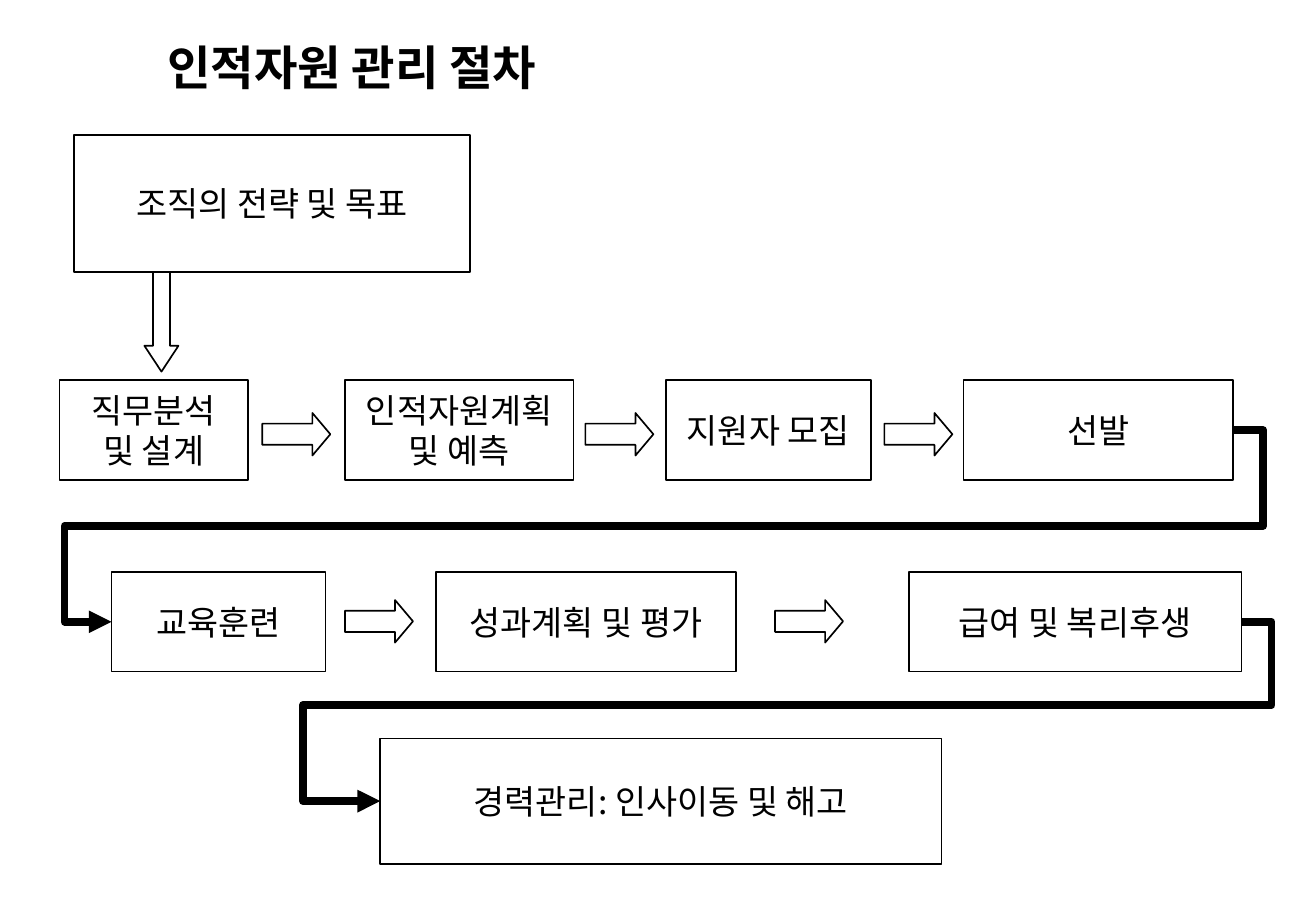
from dataclasses import dataclass

from lxml.etree import SubElement
from pptx import Presentation
from pptx.dml.color import RGBColor
from pptx.enum.shapes import MSO_CONNECTOR, MSO_SHAPE
from pptx.enum.text import MSO_ANCHOR, PP_ALIGN
from pptx.oxml.ns import qn
from pptx.util import Pt


@dataclass(frozen=True)
class Theme:
    ink: RGBColor = RGBColor(0, 0, 0)
    paper: RGBColor = RGBColor(255, 255, 255)
    font: str = "Noto Sans CJK KR"
    title_size: float = 28
    body_size: float = 20
    outline: float = 1
    link: float = 4.5


THEME = Theme()
STEP_HEIGHT = 59
ARROW_WIDTH, ARROW_HEIGHT = 40.3, 25.2


def style_text(tf, size, bold=False, align=PP_ALIGN.LEFT):
    for p in tf.paragraphs:
        p.alignment = align
        for r in p.runs:
            r.font.size = Pt(size)
            r.font.bold = bold
            r.font.color.rgb = THEME.ink
            r.font.name = THEME.font
            SubElement(r.font._element, qn("a:ea")).set("typeface", THEME.font)


def add_outlined(s, kind, x, y, w, h):
    sp = s.shapes.add_shape(kind, Pt(x), Pt(y), Pt(w), Pt(h))
    sp.shadow.inherit = False
    sp.fill.solid()
    sp.fill.fore_color.rgb = THEME.paper
    sp.line.color.rgb = THEME.ink
    sp.line.width = Pt(THEME.outline)
    return sp


def add_title(s, x, y, w, h, text):
    tf = s.shapes.add_textbox(Pt(x), Pt(y), Pt(w), Pt(h)).text_frame
    tf.word_wrap = True
    tf.text = text
    style_text(tf, THEME.title_size, bold=True)


def add_step(s, x, y, w, h, text):
    sp = add_outlined(s, MSO_SHAPE.RECTANGLE, x, y, w, h)
    tf = sp.text_frame
    tf.word_wrap = True
    tf.vertical_anchor = MSO_ANCHOR.MIDDLE
    tf.text = text
    style_text(tf, THEME.body_size, align=PP_ALIGN.CENTER)
    return sp


def add_block_arrow(s, x, y, w, h, head, rotation=0):
    sp = add_outlined(s, MSO_SHAPE.RIGHT_ARROW, x, y, w, h)
    sp.adjustments[0], sp.adjustments[1] = 0.5, head
    sp.rotation = rotation


def add_row(s, x, y, steps, arrows, arrow_drop):
    """Place steps (offset, width, text) and arrows (offset) from the row's corner."""
    boxes = [add_step(s, x + dx, y, w, STEP_HEIGHT, text) for dx, w, text in steps]
    for dx in arrows:
        add_block_arrow(s, x + dx, y + arrow_drop, ARROW_WIDTH, ARROW_HEIGHT, 0.421)
    return boxes


def add_return_link(s, start, end, bends):
    """Lead from the right of one step round to the left of a step below."""
    c = s.shapes.add_connector(MSO_CONNECTOR.ELBOW, 0, 0, 0, 0)
    c.begin_connect(start, 3)
    c.end_connect(end, 1)
    c.line.color.rgb = THEME.ink
    c.line.width = Pt(THEME.link)
    SubElement(c.line._get_or_add_ln(), qn("a:tailEnd")).set("type", "triangle")
    props = c._element.spPr
    SubElement(props, qn("a:effectLst"))
    geom = props.find(qn("a:prstGeom"))
    geom.set("prst", "bentConnector5")
    guides = geom.find(qn("a:avLst"))
    for i, bend in enumerate(bends, 1):
        gd = SubElement(guides, qn("a:gd"))
        gd.set("name", f"adj{i}")
        gd.set("fmla", f"val {round(bend * 100000)}")


def add_strategy(s, x, y, w, h):
    add_step(s, x, y, w, h, "조직의 전략 및 목표")
    add_block_arrow(s, x + 22.3, y + h + 19.4, 59, 20.2, 0.758, rotation=90)


def build_process_slide(prs):
    s = prs.slides.add_slide(prs.slide_layouts[6])
    add_title(s, 92.2, 19.4, 301, 41, "인적자원 관리 절차")
    add_strategy(s, 43.9, 79.9, 234.7, 81.4)
    hiring = add_row(s, 35.3, 225.4, [
        (0, 111.6, "직무분석\n및 설계"),
        (169.2, 135.4, "인적자원계획\n및 예측"),
        (359.3, 121.7, "지원자 모집"),
        (535.7, 159.8, "선발"),
    ], [120.2, 311.7, 488.9], 19.4)
    growth = add_row(s, 66.2, 339.1, [
        (0, 126.7, "교육훈련"),
        (192.3, 177.8, "성과계획 및 평가"),
        (472.4, 197.3, "급여 및 복리후생"),
    ], [138.3, 393.2], 16.6)
    career = add_step(s, 225.4, 437.8, 332.6, 74.2, "경력관리: 인사이동 및 해고")
    add_return_link(s, hiring[-1], growth[0], (-0.027, 0.5, 1.042))
    add_return_link(s, growth[-1], career, (-0.035, 0.464, 1.09))


def main():
    prs = Presentation()
    prs.slide_width, prs.slide_height = Pt(780), Pt(540)
    build_process_slide(prs)
    prs.save("out.pptx")


if __name__ == "__main__":
    main()
